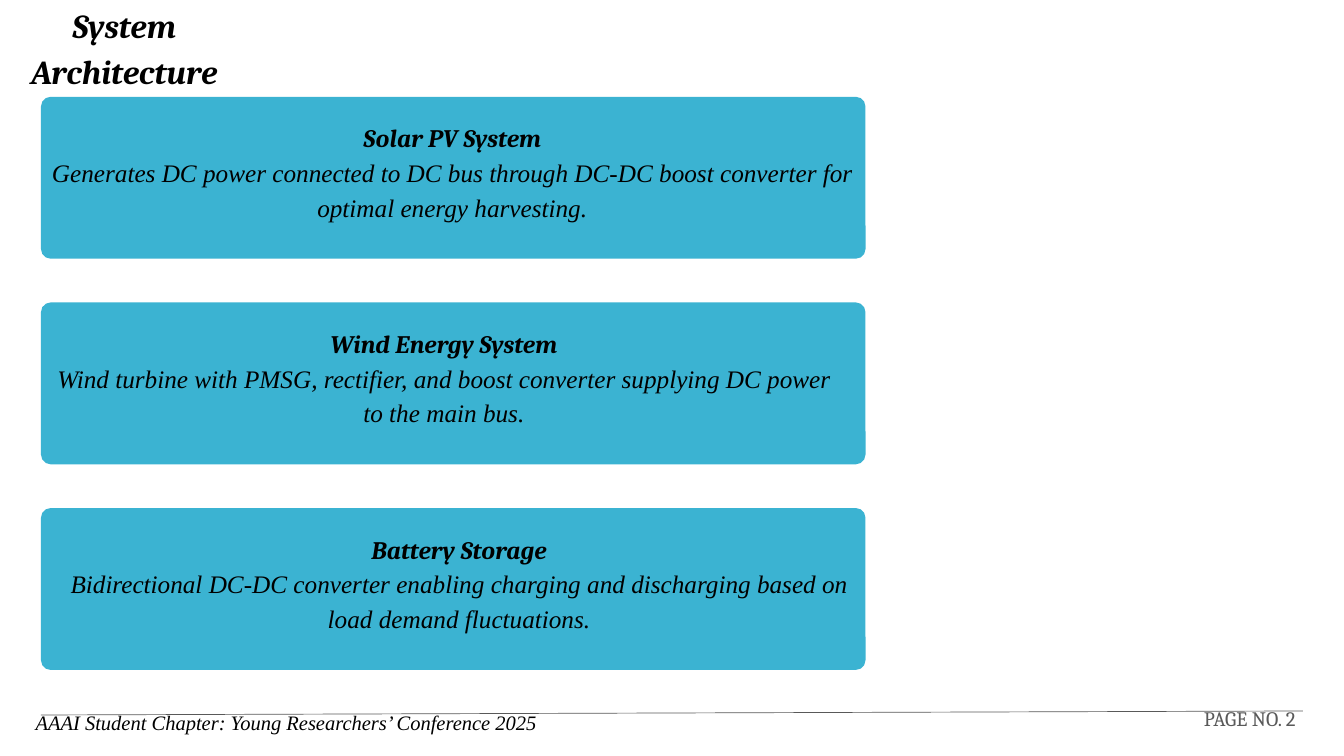
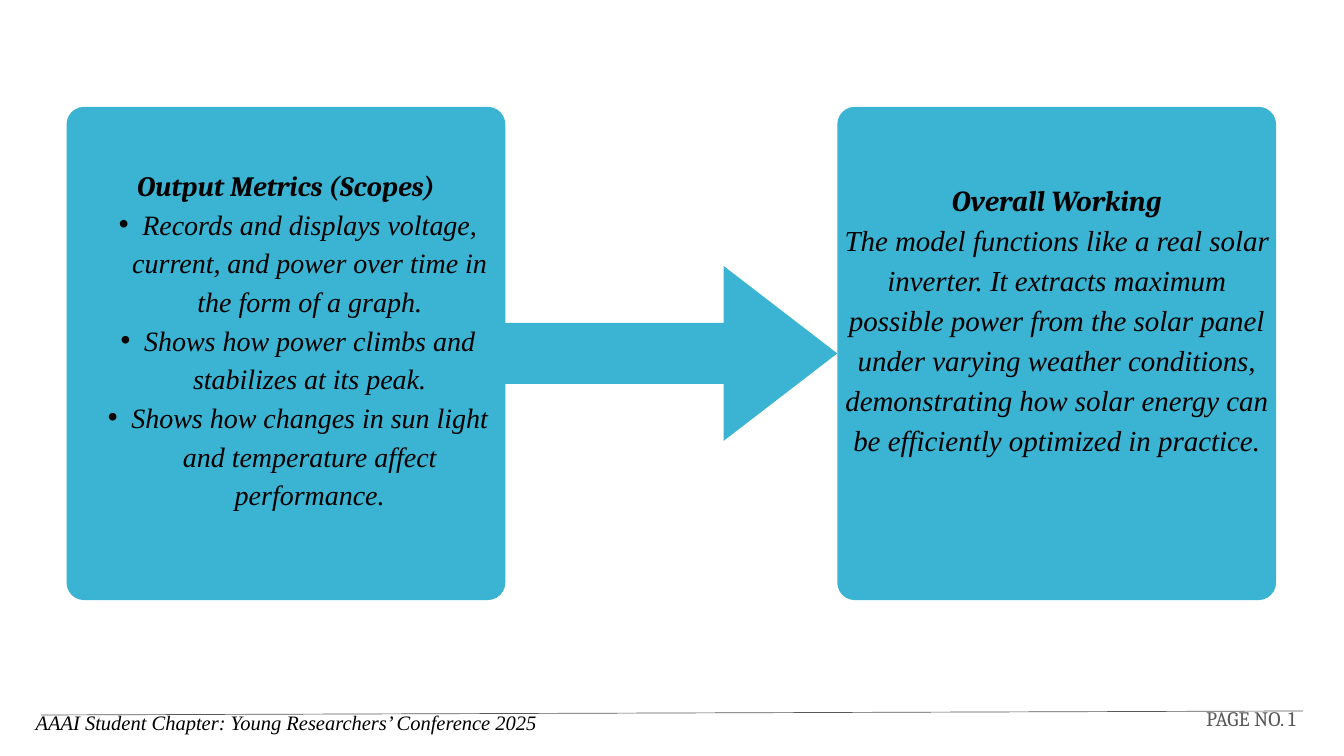
from dataclasses import dataclass

from lxml import etree
from pptx import Presentation
from pptx.dml.color import RGBColor
from pptx.enum.shapes import MSO_CONNECTOR, MSO_SHAPE
from pptx.enum.text import MSO_ANCHOR, MSO_AUTO_SIZE, PP_ALIGN
from pptx.oxml.ns import qn
from pptx.util import Inches, Pt

STRAIGHT = MSO_CONNECTOR.STRAIGHT
ROUNDED, RIGHT_ARROW = MSO_SHAPE.ROUNDED_RECTANGLE, MSO_SHAPE.RIGHT_ARROW
LEFT, CENTER, RIGHT = PP_ALIGN.LEFT, PP_ALIGN.CENTER, PP_ALIGN.RIGHT
TOP, MIDDLE = MSO_ANCHOR.TOP, MSO_ANCHOR.MIDDLE
GROW, FIXED = MSO_AUTO_SIZE.SHAPE_TO_FIT_TEXT, MSO_AUTO_SIZE.NONE

HEADING_FONT, BODY_FONT = "Cambria", "Times New Roman"
BLUE, BLACK, GREY = "3BB3D2", "000000", "595959"
FOOTER = "AAAI Student Chapter: Young Researchers’ Conference 2025"

STACK_LEFT, STACK_TOP, STACK_PITCH = 0.61, 1.44, 3.06
STACK_WIDTH, STACK_HEIGHT, STACK_TEXT_DROP = 12.27, 2.41, 0.32
PANEL_TOP, PANEL_WIDTH, PANEL_HEIGHT = 1.59, 6.53, 7.34
PANEL_TEXT_TOP = 1.11


@dataclass
class Line:
    text: str
    size: float
    spacing: float
    font: str = BODY_FONT
    color: str = BLACK
    bold: bool = False
    italic: bool = True
    align: PP_ALIGN = CENTER
    bullet: bool = False


@dataclass
class Component:
    heading: str
    description: str
    text_left: float
    text_width: float


@dataclass
class Panel:
    left: float
    text_height: float
    size: float
    spacing: float
    heading: str
    body: list[str]
    bullets: bool = False


COMPONENTS = [
    Component("Solar PV System",
              "Generates DC power connected to DC bus through DC-DC boost converter "
              "for optimal energy harvesting.", 0.53, 12.4),
    Component("Wind Energy System",
              "Wind turbine with PMSG, rectifier, and boost converter supplying DC power "
              "to the main bus.", 0.67, 11.87),
    Component("Battery Storage",
              "Bidirectional DC-DC converter enabling charging and discharging based on "
              "load demand fluctuations.", 0.99, 11.68),
]

PANELS = [
    Panel(12.46, 7.22, 31, 42.8, "Overall Working",
          ["The model functions like a real solar inverter. It extracts maximum possible "
           "power from the solar panel under varying weather conditions, demonstrating how "
           "solar energy can be efficiently optimized in practice."]),
    Panel(0.99, 7.82, 30, 41.4, "Output Metrics (Scopes)",
          ["Records and displays voltage, current, and power over time in the form of a graph.",
           "Shows how power climbs and stabilizes at its peak.",
           "Shows how changes in sun light and temperature affect performance."],
          bullets=True),
]


def rgb(value: str) -> RGBColor:
    return RGBColor.from_string(value)


def add_bullet(para) -> None:
    para.level = 1
    properties = para._p.get_or_add_pPr()
    properties.set("marL", str(Inches(0.71)))
    properties.set("indent", str(Inches(-0.35)))
    etree.SubElement(properties, qn("a:buFont")).set("typeface", "Arial")
    etree.SubElement(properties, qn("a:buChar")).set("char", "•")


def add_text(page, left: float, top: float, width: float, height: float, lines: list[Line],
             inset: float = 0, anchor: MSO_ANCHOR = TOP, fit: MSO_AUTO_SIZE = GROW) -> None:
    box = page.shapes.add_textbox(Inches(left), Inches(top), Inches(width), Inches(height))
    frame = box.text_frame
    frame.word_wrap = True
    frame.auto_size = fit
    frame.vertical_anchor = anchor
    frame.margin_left = frame.margin_right = Inches(inset)
    frame.margin_top = frame.margin_bottom = Inches(inset)
    for index, line in enumerate(lines):
        para = frame.add_paragraph() if index else frame.paragraphs[0]
        para.alignment = line.align
        para.line_spacing = Pt(line.spacing)
        if line.bullet:
            add_bullet(para)
        span = para.add_run()
        span.text = line.text
        font = span.font
        font.name, font.size = line.font, Pt(line.size)
        font.bold, font.italic = line.bold, line.italic
        font.color.rgb = rgb(line.color)


def add_block(page, kind: MSO_SHAPE, left: float, top: float, width: float, height: float,
              *adjustments: float) -> None:
    """Draw a plain blue preset shape without outline."""
    block = page.shapes.add_shape(kind, Inches(left), Inches(top), Inches(width), Inches(height))
    block.shadow.inherit = False
    block.fill.solid()
    block.fill.fore_color.rgb = rgb(BLUE)
    block.line.fill.background()
    for index, value in enumerate(adjustments):
        block.adjustments[index] = value


def heading_and_body(heading: str, body: list[str], size: float, spacing: float,
                     bullets: bool = False) -> list[Line]:
    return [Line(heading, size, spacing, HEADING_FONT, bold=True),
            *(Line(text, size, spacing, bullet=bullets) for text in body)]


def add_footer_rule(page) -> None:
    rule = page.shapes.add_connector(STRAIGHT, Inches(19.39), Inches(10.58),
                                     Inches(0.61), Inches(10.64))
    rule.line.color.rgb = rgb(GREY)
    rule.line.width = Pt(0.75)
    etree.SubElement(rule._element.spPr, qn("a:effectLst"))


def add_footer_text(page, number: int) -> None:
    add_text(page, 0.53, 10.51, 12.13, 0.55, [Line(FOOTER, 22, 30.4, align=LEFT)])
    add_text(page, 16.63, 10.5, 2.65, 0.42,
             [Line(f"PAGE NO. {number}", 22, 26.4, HEADING_FONT, GREY,
                   italic=False, align=RIGHT)])


def new_page(deck):
    page = deck.slides.add_slide(deck.slide_layouts[6])
    page.background.fill.solid()
    page.background.fill.fore_color.rgb = rgb("FFFFFF")
    add_footer_rule(page)
    return page


def add_architecture(deck) -> None:
    page = new_page(deck)
    add_text(page, -0.25, -0.02, 4.2, 0.74,
             [Line("System Architecture", 36, 49.7, HEADING_FONT, bold=True)])
    for index, component in enumerate(COMPONENTS):
        top = STACK_TOP + index * STACK_PITCH
        add_block(page, ROUNDED, STACK_LEFT, top, STACK_WIDTH, STACK_HEIGHT, 0.06)
        add_text(page, component.text_left, top + STACK_TEXT_DROP, component.text_width, 2.09,
                 heading_and_body(component.heading, [component.description], 27, 37.2))
    add_footer_text(page, 2)


def add_working(deck) -> None:
    page = new_page(deck)
    for panel in PANELS:
        add_block(page, ROUNDED, panel.left, PANEL_TOP, PANEL_WIDTH, PANEL_HEIGHT, 0.04)
        add_text(page, panel.left, PANEL_TEXT_TOP, PANEL_WIDTH, panel.text_height,
                 heading_and_body(panel.heading, panel.body, panel.size, panel.spacing,
                                  panel.bullets),
                 inset=0.06, anchor=MIDDLE, fit=FIXED)
    add_block(page, RIGHT_ARROW, 7.22, 3.96, 5.24, 2.6, 0.35, 0.65)
    add_footer_text(page, 1)


def main() -> None:
    deck = Presentation()
    deck.slide_width, deck.slide_height = Inches(20), Inches(11.25)
    add_architecture(deck)
    add_working(deck)
    deck.save("out.pptx")


if __name__ == "__main__":
    main()
